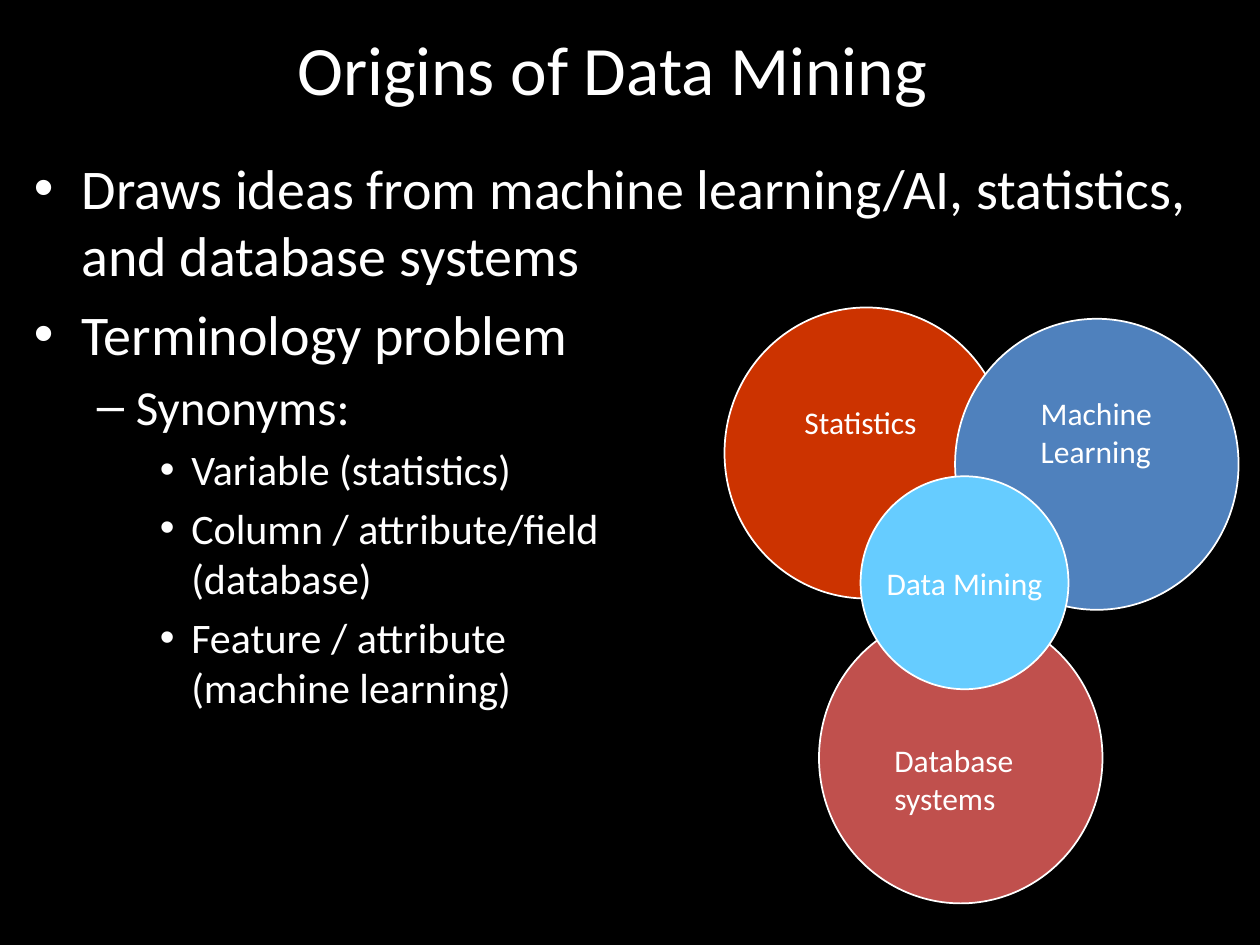
from dataclasses import dataclass

from lxml import etree
from pptx import Presentation
from pptx.dml.color import RGBColor
from pptx.enum.shapes import MSO_SHAPE
from pptx.enum.text import MSO_ANCHOR, PP_ALIGN
from pptx.oxml.ns import qn
from pptx.util import Inches, Pt

OVAL = MSO_SHAPE.OVAL
MIDDLE = MSO_ANCHOR.MIDDLE
LEFT, CENTER = PP_ALIGN.LEFT, PP_ALIGN.CENTER


@dataclass(frozen=True)
class Theme:
    font: str = "Calibri"
    background: str = "000000"
    text: str = "FFFFFF"
    statistics: str = "CC3300"
    learning: str = "4F81BD"
    database: str = "C0504D"
    mining: str = "66CCFF"
    title_size: float = 39.6
    label_size: float = 18
    outline: float = 1


THEME = Theme()


@dataclass(frozen=True)
class Level:
    size: float
    indent: float
    hanging: float
    bullet: str


@dataclass(frozen=True)
class Circle:
    left: float
    top: float
    width: float
    height: float
    color: str


@dataclass(frozen=True)
class Label:
    text: str
    left: float
    top: float
    width: float
    height: float
    size: float = THEME.label_size
    align: PP_ALIGN = LEFT
    side_inset: float = 0.1


LEVELS = (
    Level(32, 0.38, 0.38, "•"),
    Level(28, 0.81, 0.31, "–"),
    Level(24, 1.25, 0.25, "•"),
)
OUTLINE = (
    (0, "Draws ideas from machine learning/AI, statistics, and database systems"),
    (0, "Terminology problem"),
    (1, "Synonyms:"),
    (2, "Variable (statistics)"),
    (2, "Column / attribute/field \v(database)"),
    (2, "Feature / attribute \v(machine learning)"),
)
TITLE = Label("Origins of Data Mining", 0.33, 0.25, 9.06, 0.58,
              THEME.title_size, CENTER, 0)
FIELDS = (
    Circle(6.5, 4.86, 2.25, 2.31, THEME.database),
    Circle(5.75, 2.44, 2.25, 2.31, THEME.statistics),
    Circle(7.58, 2.53, 2.25, 2.31, THEME.learning),
)
FIELD_LABELS = (
    Label("Machine \vLearning", 8.26, 3.08, 1.57, 0.71, side_inset=0),
    Label("Statistics", 6.08, 3.15, 1.5, 0.4, align=CENTER),
    Label("Database systems", 7, 5.83, 1.58, 0.7),
)
MINING = Circle(6.83, 3.78, 1.65, 1.69, THEME.mining)


def rgb(color: str) -> RGBColor:
    return RGBColor.from_string(color)


def style_text(paragraph, size: float) -> None:
    paragraph.font.name = THEME.font
    paragraph.font.size = Pt(size)
    paragraph.font.color.rgb = rgb(THEME.text)


def add_circle(slide, circle: Circle):
    shape = slide.shapes.add_shape(
        OVAL, Inches(circle.left), Inches(circle.top),
        Inches(circle.width), Inches(circle.height))
    shape.shadow.inherit = False
    shape.fill.solid()
    shape.fill.fore_color.rgb = rgb(circle.color)
    shape.line.color.rgb = rgb(THEME.text)
    shape.line.width = Pt(THEME.outline)
    return shape


def add_label(slide, label: Label):
    box = slide.shapes.add_textbox(
        Inches(label.left), Inches(label.top),
        Inches(label.width), Inches(label.height))
    frame = box.text_frame
    frame.word_wrap = True
    frame.margin_left = frame.margin_right = Inches(label.side_inset)
    paragraph = frame.paragraphs[0]
    paragraph.text = label.text
    paragraph.alignment = label.align
    style_text(paragraph, label.size)
    return frame


def set_bullet(paragraph, level: Level) -> None:
    properties = paragraph._p.get_or_add_pPr()
    properties.set("marL", str(Inches(level.indent)))
    properties.set("indent", str(-Inches(level.hanging)))
    etree.SubElement(properties, qn("a:buFont")).set("typeface", "Arial")
    etree.SubElement(properties, qn("a:buChar")).set("char", level.bullet)


def add_outline(slide) -> None:
    box = slide.shapes.add_textbox(
        Inches(0.17), Inches(1.17), Inches(9.67), Inches(6))
    frame = box.text_frame
    frame.word_wrap = True
    for index, (depth, text) in enumerate(OUTLINE):
        level = LEVELS[depth]
        paragraph = frame.add_paragraph() if index else frame.paragraphs[0]
        paragraph.text = text
        paragraph.level = depth
        set_bullet(paragraph, level)
        if index:
            paragraph.space_before = Pt(level.size * 0.2)
        style_text(paragraph, level.size)


def add_mining_circle(slide) -> None:
    frame = add_circle(slide, MINING).text_frame
    frame.word_wrap = False
    frame.vertical_anchor = MIDDLE
    paragraph = frame.paragraphs[0]
    paragraph.text = "Data Mining"
    paragraph.alignment = CENTER
    style_text(paragraph, THEME.label_size)


def main() -> None:
    deck = Presentation()
    deck.slide_width, deck.slide_height = Inches(10), Inches(7.5)
    slide = deck.slides.add_slide(deck.slide_layouts[6])
    slide.background.fill.solid()
    slide.background.fill.fore_color.rgb = rgb(THEME.background)

    add_outline(slide)
    add_label(slide, TITLE).vertical_anchor = MIDDLE
    for circle in FIELDS:
        add_circle(slide, circle)
    for label in FIELD_LABELS:
        add_label(slide, label)
    add_mining_circle(slide)
    deck.save("out.pptx")


if __name__ == "__main__":
    main()
